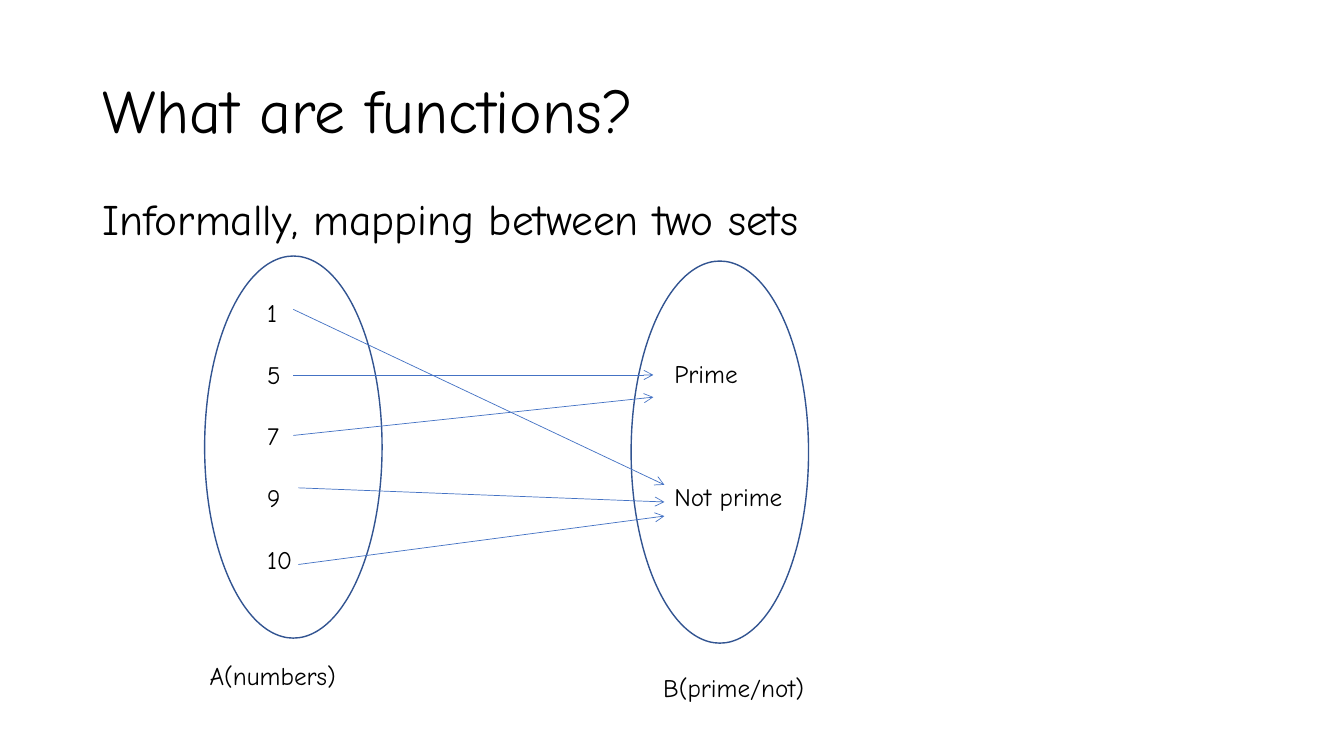
from pptx import Presentation
from pptx.dml.color import RGBColor
from pptx.enum.shapes import MSO_CONNECTOR, MSO_SHAPE
from pptx.enum.text import MSO_ANCHOR, PP_ALIGN
from pptx.oxml.ns import qn
from pptx.util import Inches, Pt
from lxml.etree import SubElement

BLACK = RGBColor(0x00, 0x00, 0x00)
NAVY = RGBColor(0x32, 0x54, 0x91)
BLUE = RGBColor(0x44, 0x72, 0xC4)


class Board:
    font = "Comic Neue"

    def __init__(self, slide):
        self.slide = slide

    def fill(self, frame, lines, size, gap=0, before=0, spacing=1.0):
        """Put lines in a frame; gap is the space between them in points."""
        frame.word_wrap = True
        frame.text = "\n".join(lines)
        for i, para in enumerate(frame.paragraphs):
            para.alignment = PP_ALIGN.LEFT
            para.line_spacing = spacing
            para.space_before = Pt(gap if i else before)
            para.font.name = self.font
            para.font.size = Pt(size)
            para.font.color.rgb = BLACK

    def title(self, text, box):
        shape = self.slide.shapes.title
        shape.left, shape.top, shape.width, shape.height = map(Inches, box)
        shape.text_frame.vertical_anchor = MSO_ANCHOR.MIDDLE
        self.fill(shape.text_frame, [text], 44, spacing=0.9)

    def text(self, lines, box, size=18, **style):
        shape = self.slide.shapes.add_textbox(*map(Inches, box))
        self.fill(shape.text_frame, lines, size, **style)

    def oval(self, left, top):
        shape = self.slide.shapes.add_shape(
            MSO_SHAPE.OVAL, *map(Inches, (left, top, 1.76, 3.79)))
        shape.shadow.inherit = False
        shape.fill.background()
        shape.line.color.rgb = NAVY
        shape.line.width = Pt(1)

    def arrow(self, start, end):
        link = self.slide.shapes.add_connector(
            MSO_CONNECTOR.STRAIGHT, *map(Inches, start + end))
        link.line.color.rgb = BLUE
        link.line.width = Pt(0.5)
        props = link.element.spPr
        SubElement(props.find(qn("a:ln")), qn("a:tailEnd"), type="arrow")
        SubElement(props, qn("a:effectLst"))


def main():
    deck = Presentation()
    deck.slide_width, deck.slide_height = Inches(13.33), Inches(7.5)
    board = Board(deck.slides.add_slide(deck.slide_layouts[5]))

    board.title("What are functions?", (0.92, 0.4, 11.5, 1.45))
    board.text(["Informally, mapping between two sets"],
               (0.92, 2, 11.4, 0.47), 31, before=10, spacing=0.7)

    board.oval(2.03, 2.54)
    board.text(["1", "5", "7", "9", "10"], (2.55, 2.9, 0.65, 2.83), gap=22.5)
    board.oval(6.26, 2.59)
    board.text(["Prime", "Not prime"], (6.59, 3.51, 1.61, 1.62), gap=65.7)

    for start, end in (
        ((2.91, 3.07), (6.59, 4.81)),
        ((2.91, 3.72), (6.48, 3.72)),
        ((2.91, 4.32), (6.48, 3.94)),
        ((2.96, 4.84), (6.59, 4.98)),
        ((2.96, 5.6), (6.59, 5.12)),
    ):
        board.arrow(start, end)

    board.text(["A(numbers)"], (1.98, 6.54, 2.43, 0.47), before=10, spacing=0.9)
    board.text(["B(prime/not)"], (6.48, 6.62, 1.76, 0.4))
    deck.save("out.pptx")


if __name__ == "__main__":
    main()
